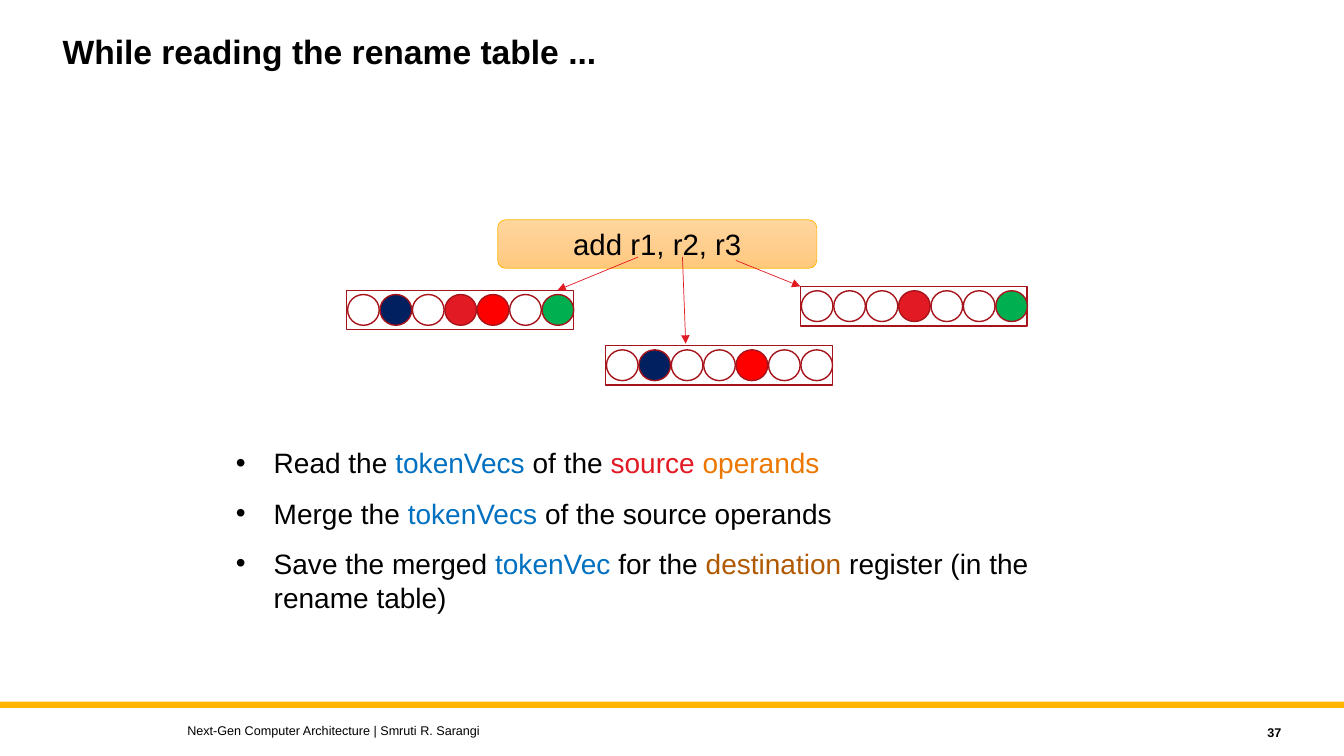
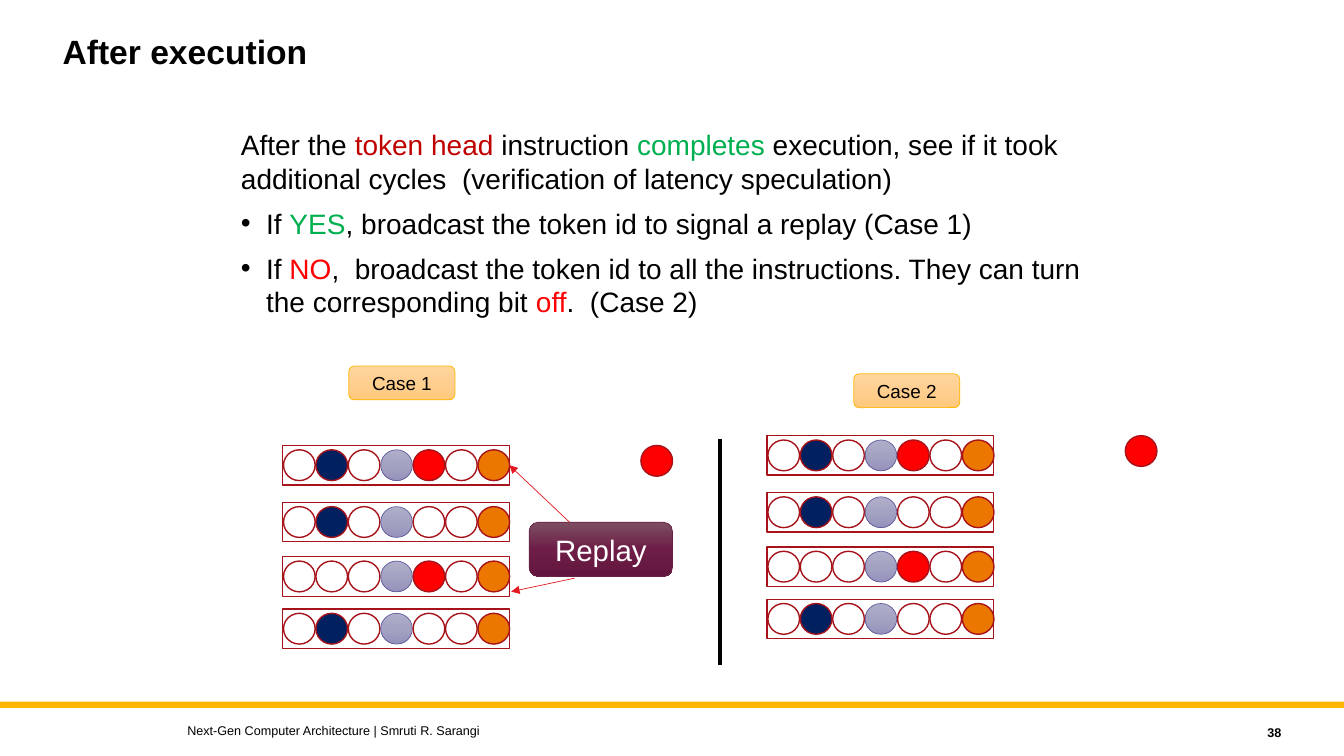
import copy
from dataclasses import dataclass
from typing import Any, NamedTuple, Optional

import pptx
import pptx.dml.color
import pptx.enum.shapes
import pptx.enum.text
import pptx.oxml.ns
import pptx.oxml.xmlchemy
import pptx.util

Pt = pptx.util.Pt
SHAPES = pptx.enum.shapes.MSO_SHAPE
ALIGN = pptx.enum.text.PP_ALIGN
ANCHOR = pptx.enum.text.MSO_ANCHOR
qn = pptx.oxml.ns.qn
new_element = pptx.oxml.xmlchemy.OxmlElement


@dataclass(frozen=True)
class Theme:
    font: str = "Arial"
    title_size: float = 24
    body_size: float = 20
    label_size: float = 21
    case_size: float = 13.5
    footer_size: float = 9
    black: str = "000000"
    white: str = "FFFFFF"
    band: str = "FFB600"
    outline: str = "A7131A"
    crimson: str = "E21A23"
    red: str = "FF0000"
    dark_red: str = "C00000"
    green: str = "00B050"
    navy: str = "002060"
    blue: str = "0070C0"
    orange: str = "EC7700"
    brown: str = "B15900"
    lavender_line: str = "625D9C"
    plum_line: str = "692146"
    lavender: tuple = ("B0AFCA", "A4A2C2", "9492BB")
    amber: tuple = ("FFD69E", "FFCF90", "FFC97C")
    plum: tuple = ("7C4F62", "6D1D46", "64173E")


THEME = Theme()
FOOTER = "Next-Gen Computer Architecture | Smruti R. Sarangi"
BIT_FILLS = {".": None, "n": THEME.navy, "c": THEME.crimson, "r": THEME.red,
             "g": THEME.green, "l": THEME.lavender, "o": THEME.orange}
VECTOR_WIDTH, VECTOR_HEIGHT = 162, 28.2
BIT_WIDTH, BIT_HEIGHT, BIT_STEP = 22.6, 22, 23.15


class Box(NamedTuple):
    left: float
    top: float
    width: float
    height: float


class Span(NamedTuple):
    text: str
    color: str = THEME.black


class Item(NamedTuple):
    spans: list[Span]
    indent: float = 0
    before: float = 0
    level: int = 0


class TokenVec(NamedTuple):
    left: float
    top: float
    bits: str


class Case(NamedTuple):
    name: str
    label_left: float
    label_top: float
    left: float
    top: float


class Arrow(NamedTuple):
    x1: float
    y1: float
    x2: float
    y2: float


def rgb(color: str) -> pptx.dml.color.RGBColor:
    return pptx.dml.color.RGBColor.from_string(color)


def apply(target: Any, formats: dict[str, Any]) -> None:
    for name, value in formats.items():
        setattr(target, name, value)


def place(shape: Any, box: Box) -> None:
    apply(shape, {name: Pt(value) for name, value in box._asdict().items()})


def write(para: Any, span: Span, size: float, bold: bool = False) -> None:
    run = para.add_run()
    run.text = span.text
    apply(run.font, {"name": THEME.font, "size": Pt(size), "bold": bold})
    run.font.color.rgb = rgb(span.color)


def paint(shape: Any, fill: Any) -> None:
    """Fill with nothing, one colour, or three colours from top to bottom."""
    if fill is None:
        shape.fill.background()
    elif isinstance(fill, str):
        shape.fill.solid()
        shape.fill.fore_color.rgb = rgb(fill)
    else:
        shape.fill.gradient()
        shape.fill.gradient_angle = 270
        first = next(shape.element.iter(qn("a:gs")))
        first.addnext(copy.deepcopy(first))
        for index, (stop, color) in enumerate(zip(shape.fill.gradient_stops, fill)):
            stop.position = index / 2
            stop.color.rgb = rgb(color)


def add_shape(page: Any, kind: Any, box: Box, fill: Any,
              line: Optional[str], width: float = 1) -> Any:
    shape = page.shapes.add_shape(kind, *map(Pt, box))
    shape.shadow.inherit = False
    paint(shape, fill)
    if line is None:
        shape.line.fill.background()
    else:
        shape.line.color.rgb = rgb(line)
        shape.line.width = Pt(width)
    return shape


def add_label(page: Any, box: Box, span: Span, size: float, fill: tuple, line: str) -> None:
    shape = add_shape(page, SHAPES.ROUNDED_RECTANGLE, box, fill, line, 0.5)
    apply(shape.text_frame, {"word_wrap": True, "vertical_anchor": ANCHOR.MIDDLE})
    para = shape.text_frame.paragraphs[0]
    para.alignment = ALIGN.CENTER
    write(para, span, size)


def add_bit(page: Any, left: float, top: float, code: str) -> None:
    line, width = (THEME.lavender_line, 0.5) if code == "l" else (THEME.outline, 1)
    add_shape(page, SHAPES.OVAL, Box(left, top, BIT_WIDTH, BIT_HEIGHT),
              BIT_FILLS[code], line, width)


def add_token_vec(page: Any, vec: TokenVec) -> Any:
    frame = add_shape(page, SHAPES.RECTANGLE,
                      Box(vec.left, vec.top, VECTOR_WIDTH, VECTOR_HEIGHT), None, THEME.outline)
    for index, code in enumerate(vec.bits):
        add_bit(page, vec.left + 0.7 + index * BIT_STEP, vec.top + 3.1, code)
    return frame


def add_line(page: Any, ends: Arrow, color: str, width: float, head: bool = True) -> Any:
    line = page.shapes.add_connector(pptx.enum.shapes.MSO_CONNECTOR.STRAIGHT, *map(Pt, ends))
    line.line.color.rgb = rgb(color)
    line.line.width = Pt(width)
    properties = line.element.spPr
    if head:
        tail = new_element("a:tailEnd")
        tail.set("type", "triangle")
        properties.find(qn("a:ln")).append(tail)
    properties.append(new_element("a:effectLst"))
    return line


def add_footer_text(page: Any, box: Box, text: str, align: Any, bold: bool) -> None:
    frame = page.shapes.add_textbox(*map(Pt, box)).text_frame
    apply(frame, {"word_wrap": True, "vertical_anchor": ANCHOR.MIDDLE})
    frame.paragraphs[0].alignment = align
    write(frame.paragraphs[0], Span(text), THEME.footer_size, bold)


def prepare(placeholder: Any, box: Box) -> Any:
    place(placeholder, box)
    frame = placeholder.text_frame
    apply(frame, {"word_wrap": True, "vertical_anchor": ANCHOR.TOP,
                  "auto_size": pptx.enum.text.MSO_AUTO_SIZE.NONE})
    return frame


def add_page(deck: Any, title: str, number: int, body_box: Box, items: list[Item]) -> Any:
    page = deck.slides.add_slide(deck.slide_layouts[1])
    para = prepare(page.shapes.title, Box(37.5, 21.6, 720, 64.8)).paragraphs[0]
    apply(para, {"alignment": ALIGN.LEFT, "line_spacing": 0.9})
    write(para, Span(title), THEME.title_size, True)

    frame = prepare(page.placeholders[1], body_box)
    for index, item in enumerate(items):
        para = frame.paragraphs[0] if index == 0 else frame.add_paragraph()
        apply(para, {"level": item.level, "alignment": ALIGN.LEFT,
                     "space_before": Pt(item.before if index else 0)})
        properties = para._p.get_or_add_pPr()
        properties.set("marL", str(Pt(item.indent)))
        properties.set("indent", str(-Pt(item.indent)))
        bullet = new_element("a:buChar" if item.indent else "a:buNone")
        if item.indent:
            bullet.set("char", "•")
        properties.append(bullet)
        for span in item.spans:
            write(para, span, THEME.body_size)

    add_footer_text(page, Box(821.5, 514, 100.8, 18), str(number), ALIGN.RIGHT, True)
    add_footer_text(page, Box(126.7, 512.6, 576, 18), FOOTER, ALIGN.LEFT, False)
    return page


def move_band_to_master(deck: Any, page: Any) -> None:
    band = add_shape(page, SHAPES.RECTANGLE, Box(0, 501.2, 960, 4.4), THEME.band, None)
    band.element.nvSpPr.cNvPr.set("id", "20")
    deck.slide_master.shapes.element.append(band.element)


def build_rename_page(deck: Any) -> Any:
    items = [
        Item([Span("Read the "), Span("tokenVecs ", THEME.blue), Span("of the "),
              Span("source ", THEME.crimson), Span("operands", THEME.orange)], 27, 12),
        Item([Span("Merge the "), Span("tokenVecs", THEME.blue),
              Span(" of the source operands")], 27, 12),
        Item([Span("Save the merged "), Span("tokenVec ", THEME.blue), Span("for the "),
              Span("destination", THEME.brown),
              Span(" register (in the rename table)")], 27, 12),
    ]
    page = add_page(deck, "While reading the rename table ...", 37,
                    Box(161.3, 314.8, 620.6, 126), items)
    add_label(page, Box(355.5, 157, 228, 34.6), Span("add r1, r2, r3"),
              THEME.label_size, THEME.amber, THEME.band)
    for vec in (TokenVec(571.7, 204.6, "...c..g"), TokenVec(432.5, 246.8, ".n..r.."),
                TokenVec(247.6, 207.3, ".n.cr.g")):
        add_token_vec(page, vec)
    for arrow in (Arrow(525.6, 186, 571.7, 204.6), Arrow(487.5, 183.6, 489.8, 245.5),
                  Arrow(455.8, 183.6, 398.2, 207.3)):
        add_line(page, arrow, THEME.crimson, 0.5)
    return page


def build_execution_page(deck: Any) -> None:
    items = [
        Item([Span("After the "), Span("token head ", THEME.dark_red), Span("instruction "),
              Span("completes", THEME.green),
              Span(" execution, see if it took additional cycles  "
                   "(verification of latency speculation)")]),
        Item([Span("If "), Span("YES", THEME.green),
              Span(", broadcast the token id to signal a replay (Case 1)")], 18, 8, 1),
        Item([Span("If "), Span("NO", THEME.red),
              Span(",  broadcast the token id to all the instructions. "
                   "They can turn the corresponding bit "),
              Span("off", THEME.red), Span(".  (Case 2)")], 18, 8, 1),
    ]
    page = add_page(deck, "After execution", 38, Box(164.9, 87.8, 620.6, 158.4), items)

    rows = ((0, ".n.lr.o"), (40.6, ".n.l..o"), (79.5, "...lr.o"), (116.8, ".n.l..o"))
    frames = []
    for case in (Case("Case 1", 249.2, 261.4, 201.8, 318.2),
                 Case("Case 2", 609.8, 267, 547.8, 311.2)):
        add_label(page, Box(case.label_left, case.label_top, 75.8, 24.2), Span(case.name),
                  THEME.case_size, THEME.amber, THEME.band)
        frames += [add_token_vec(page, TokenVec(case.left, case.top + offset, bits))
                   for offset, bits in rows]
        add_bit(page, case.left + 256, case.top, "r")

    add_label(page, Box(378, 373, 102.4, 38.8), Span("Replay", THEME.white),
              THEME.label_size, THEME.plum, THEME.plum_line)
    replay_arrow = add_line(page, Arrow(406.8, 373, 363.8, 332.3), THEME.crimson, 0.5)
    replay_arrow.end_connect(frames[0], 3)
    add_line(page, Arrow(410.4, 413, 365.2, 422.6), THEME.crimson, 0.5)
    add_line(page, Arrow(514.2, 313.4, 514.2, 475), THEME.black, 3, head=False)


def main() -> None:
    deck = pptx.Presentation()
    apply(deck, {"slide_width": Pt(960), "slide_height": Pt(540)})
    move_band_to_master(deck, build_rename_page(deck))
    build_execution_page(deck)
    deck.save("out.pptx")


if __name__ == "__main__":
    main()
